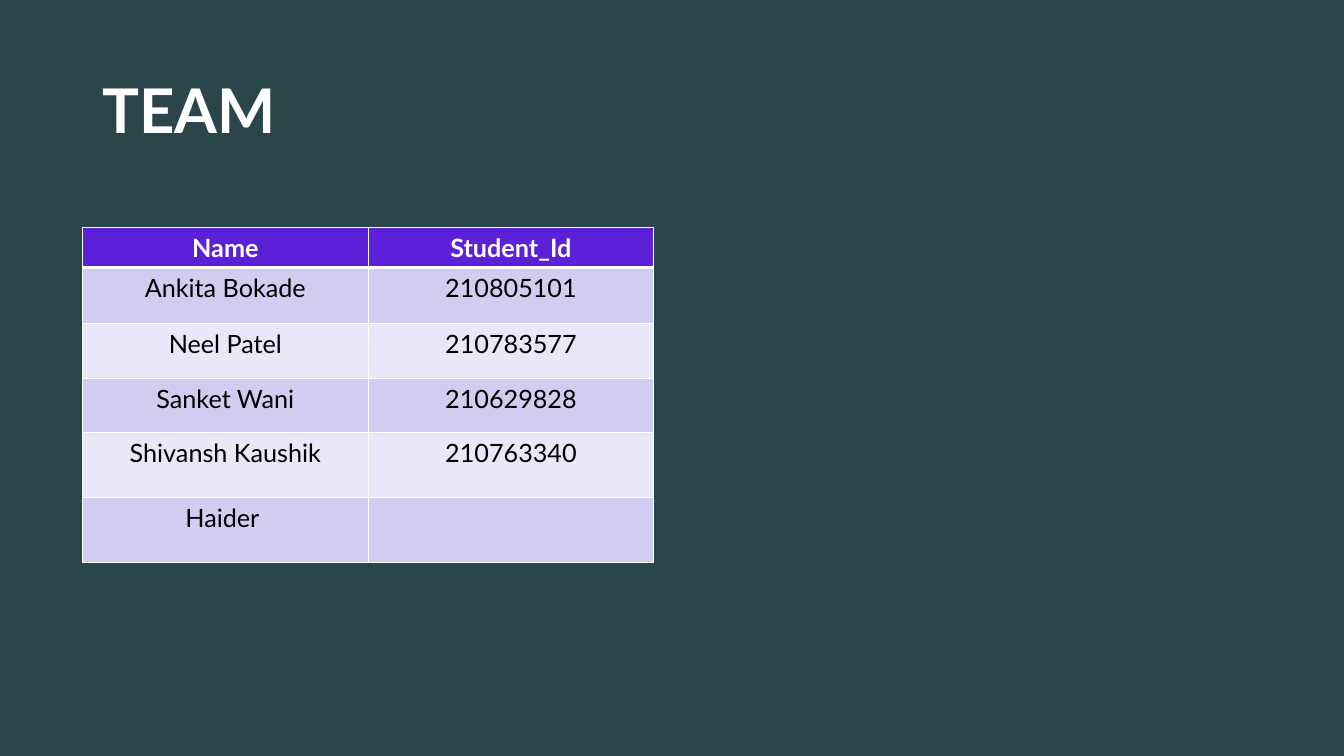
from lxml.etree import SubElement
from pptx import Presentation
from pptx.dml.color import RGBColor
from pptx.enum.text import MSO_ANCHOR, PP_ALIGN
from pptx.oxml.ns import qn
from pptx.util import Pt

COLORS = {
    "background": "2B464B",
    "header": "5B20D7",
    "odd_row": "D2CDF0",
    "even_row": "EAE8F8",
    "light": "FFFFFF",
    "dark": "000000",
}
FONT = "Lato"
ROW_HEIGHTS = [28.8, 40, 39.2, 38.6, 46.6, 46.4]
TEAM = [
    ("Name", "Student_Id"),
    ("Ankita Bokade", "210805101"),
    ("Neel Patel", "210783577"),
    ("Sanket Wani", "210629828"),
    ("Shivansh Kaushik", "210763340"),
    ("Haider ", ""),
]


def color(name):
    return RGBColor.from_string(COLORS[name])


def format_paragraph(paragraph, size, color_name, bold, alignment):
    paragraph.alignment = alignment
    for run in paragraph.runs:
        run.font.name = FONT
        run.font.size = Pt(size)
        run.font.bold = bold
        run.font.color.rgb = color(color_name)


def set_borders(cell, widths):
    properties = cell._tc.get_or_add_tcPr()
    for side, width in widths.items():
        line = SubElement(properties, qn(f"a:ln{side}"), w=str(Pt(width)))
        fill = SubElement(line, qn("a:solidFill"))
        SubElement(fill, qn("a:srgbClr"), val=COLORS["light"])


def add_title(slide, left, top, width, height):
    title = slide.shapes.title
    title.left, title.top = Pt(left), Pt(top)
    title.width, title.height = Pt(width), Pt(height)
    title.text_frame.text = "TEAM"
    title.text_frame.vertical_anchor = MSO_ANCHOR.MIDDLE
    paragraph = title.text_frame.paragraphs[0]
    paragraph.line_spacing = 0.9
    format_paragraph(paragraph, 44, "light", True, PP_ALIGN.LEFT)


def add_team_table(slide, left, top, width):
    column_count = len(TEAM[0])
    table = slide.shapes.add_table(
        len(TEAM), column_count, Pt(left), Pt(top), Pt(width), Pt(sum(ROW_HEIGHTS))
    ).table
    for column in table.columns:
        column.width = Pt(width / column_count)
    for row_index, (member, height) in enumerate(zip(TEAM, ROW_HEIGHTS)):
        table.rows[row_index].height = Pt(height)
        is_header = row_index == 0
        band = "header" if is_header else "odd_row" if row_index % 2 else "even_row"
        widths = {
            "L": 1,
            "R": 1,
            "T": 3 if row_index == 1 else 1,
            "B": 3 if is_header else 1,
        }
        for column_index, text in enumerate(member):
            cell = table.cell(row_index, column_index)
            cell.text_frame.text = text
            set_borders(cell, widths)
            cell.fill.solid()
            cell.fill.fore_color.rgb = color(band)
            format_paragraph(
                cell.text_frame.paragraphs[0],
                18,
                "light" if is_header else "dark",
                is_header,
                PP_ALIGN.CENTER,
            )


def build_team_slide(presentation):
    slide = presentation.slides.add_slide(presentation.slide_layouts[5])
    slide.background.fill.solid()
    slide.background.fill.fore_color.rgb = color("background")
    add_title(slide, 66, 28.75, 828, 104.4)
    add_team_table(slide, 59, 162.3, 408)


presentation = Presentation()
presentation.slide_width, presentation.slide_height = Pt(960), Pt(540)
build_team_slide(presentation)
presentation.save("out.pptx")
